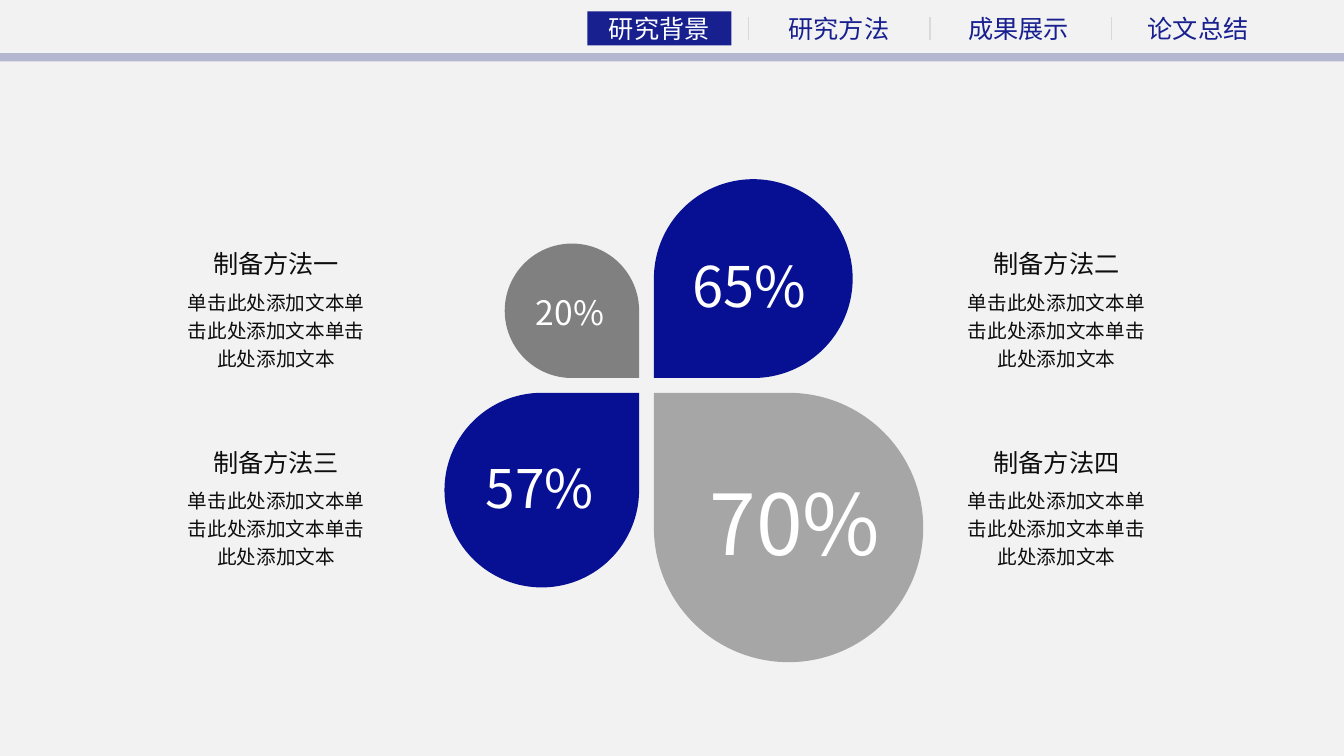
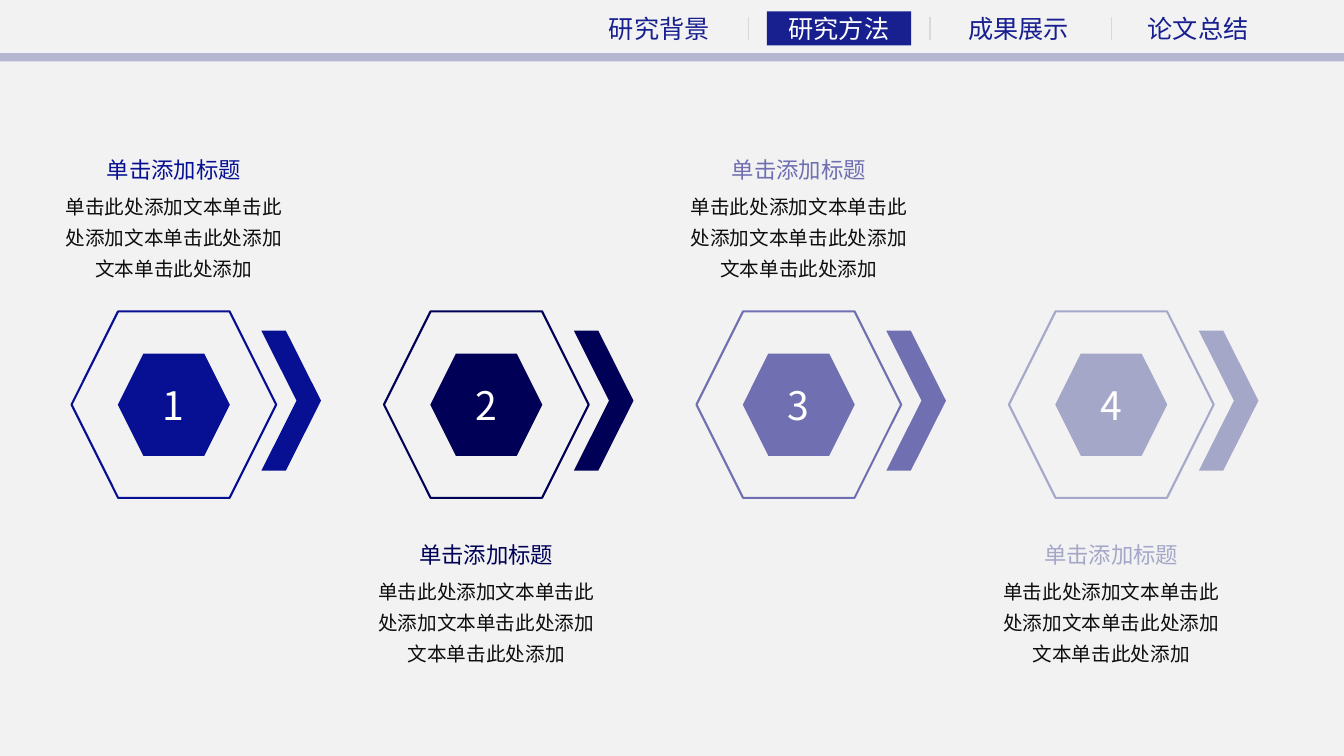
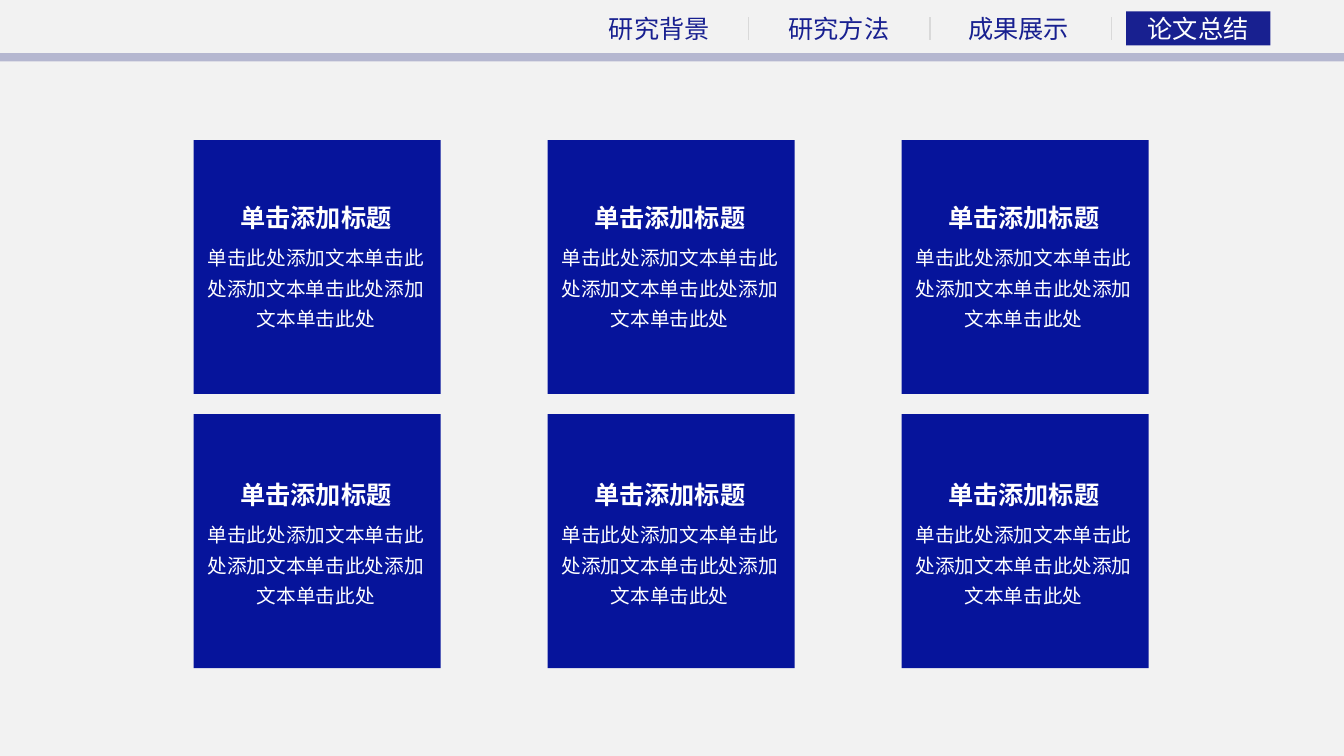
from lxml.etree import SubElement
from pptx import Presentation
from pptx.dml.color import RGBColor
from pptx.enum.shapes import MSO_CONNECTOR, MSO_SHAPE as Shape
from pptx.enum.text import MSO_ANCHOR as Anchor, PP_ALIGN as Align
from pptx.oxml.ns import qn
from pptx.util import Pt

FONT = "Noto Sans CJK SC"
COLORS = {
    "background": "F2F2F2",
    "band": "141B76",
    "nav": "182090",
    "separator": "D9D9D9",
    "white": "FFFFFF",
    "text": "0D0D0D",
    "blue": "071093",
    "navy": "000057",
    "violet": "6F6FB1",
    "lavender": "A4A7C8",
    "dark_gray": "808080",
    "light_gray": "A6A6A6",
    "card": "06149B",
}
SECTIONS = ["研究背景", "研究方法", "成果展示", "论文总结"]
PHRASE = "单击此处添加文本"
HEADING = "单击添加标题"


def color(name):
    return RGBColor.from_string(COLORS[name])


def write(shape, text, size, color_name, align=Align.CENTER, bold=False, spacing=None):
    shape.text_frame.text = text
    paragraph = shape.text_frame.paragraphs[0]
    paragraph.alignment = align
    paragraph.line_spacing = spacing
    run = paragraph.runs[0]
    run.font.size = Pt(size)
    run.font.name = FONT
    run.font.bold = bold
    run.font.color.rgb = color(color_name)
    SubElement(run.font._element, qn("a:ea"), typeface=FONT)


def add_text(slide, left, top, width, height, text, size, color_name, **style):
    box = slide.shapes.add_textbox(Pt(left), Pt(top), Pt(width), Pt(height))
    box.text_frame.word_wrap = True
    write(box, text, size, color_name, **style)


def add_centered_text(slide, center, top, width, height, text, size, color_name, **style):
    add_text(slide, center - width / 2, top, width, height, text, size, color_name, **style)


def add_figure(slide, kind, left, top, width, height, fill=None, outline=None):
    shape = slide.shapes.add_shape(kind, Pt(left), Pt(top), Pt(width), Pt(height))
    shape.shadow.inherit = False
    if fill:
        shape.fill.solid()
        shape.fill.fore_color.rgb = color(fill)
    else:
        shape.fill.background()
    if outline:
        shape.line.color.rgb = color(outline)
        shape.line.width = Pt(1.5)
    else:
        shape.line.fill.background()
    return shape


def add_separator(slide, x):
    line = slide.shapes.add_connector(MSO_CONNECTOR.STRAIGHT, Pt(x), Pt(12.2), Pt(x), Pt(28.8))
    line.line.color.rgb = color("separator")
    line.line.width = Pt(1)
    SubElement(line._element.spPr, qn("a:effectLst"))


def add_section_slide(presentation, active):
    slide = presentation.slides.add_slide(presentation.slide_layouts[6])
    slide.background.fill.solid()
    slide.background.fill.fore_color.rgb = color("background")
    band = add_figure(slide, Shape.RECTANGLE, 0, 38, 960, 5.8, "band")
    band_color = band._element.spPr.find(qn("a:solidFill"))[0]
    SubElement(band_color, qn("a:alpha"), val="27000")
    for index, section in enumerate(SECTIONS):
        center = 471 + 128.3 * index
        if section == active:
            add_figure(slide, Shape.RECTANGLE, center - 51.5, 8.2, 103, 24.2, "nav")
        label_color = "white" if section == active else "nav"
        add_centered_text(slide, center, 5.8, 89.4, 28.8, section, 18, label_color)
    for index in range(len(SECTIONS) - 1):
        add_separator(slide, 534.8 + 129.6 * index)
    return slide


def add_petal(slide, size, is_right, is_lower, fill):
    center_x, center_y, half_gap = 461.8, 275.3, 5.3
    left = center_x + half_gap if is_right else center_x - half_gap - size
    top = center_y + half_gap if is_lower else center_y - half_gap - size
    petal = add_figure(slide, Shape.TEAR, left, top, size, size, fill)
    transform = petal._element.spPr.find(qn("a:xfrm"))
    transform.set("flipH", str(int(is_right)))
    transform.set("flipV", str(int(not is_lower)))


def add_method(slide, center, top, title):
    add_centered_text(slide, center, top, 180, 28.8, title, 18, "text")
    add_centered_text(slide, center, top + 26.4, 146, 67, PHRASE * 3, 14, "text", spacing=1.2)


def add_step(slide, index, color_name):
    left = 51.1 + 223.2 * index
    center = left + 73.1
    add_figure(slide, Shape.HEXAGON, left, 222.4, 146.2, 133.2, outline=color_name)
    chevron = add_figure(slide, Shape.CHEVRON, left + 135.6, 236.2, 42.6, 100, color_name)
    chevron.adjustments[0] = 0.59
    number = add_figure(slide, Shape.HEXAGON, center - 40, 252.6, 80, 73, color_name)
    number.text_frame.vertical_anchor = Anchor.MIDDLE
    write(number, str(index + 1), 28, "white")
    top = 383 if index % 2 else 108
    add_centered_text(slide, center, top, 159, 26.6, HEADING, 16, color_name)
    add_centered_text(slide, center, top + 23, 177, 94, PHRASE * 3 + "单击此处添加", 14, "text", spacing=1.3)


def add_card(slide, left, top, title_top):
    add_figure(slide, Shape.RECTANGLE, left, top, 176.4, 181.4, "card")
    center = left + 87.2
    add_centered_text(slide, center, title_top, 140, 28.8, HEADING, 18, "white", bold=True)
    add_centered_text(slide, center, title_top + 26, 170, 71, PHRASE * 3 + "单击此处", 14, "white", spacing=1.3)


def build_background(presentation):
    slide = add_section_slide(presentation, "研究背景")
    add_petal(slide, 139, False, True, "blue")
    add_petal(slide, 96, False, False, "dark_gray")
    add_petal(slide, 142, True, False, "blue")
    add_petal(slide, 192.4, True, True, "light_gray")
    for text, size, left, top in [
        ("20%", 24, 375.8, 205.2),
        ("65%", 40, 487.4, 176.4),
        ("57%", 38, 339.8, 321.8),
        ("70%", 60, 499.7, 333.4),
    ]:
        add_text(slide, left, top, 174, size * 1.2 + 7.2, text, size, "white", align=Align.LEFT)
    for index, numeral in enumerate("一二三四"):
        row, column = divmod(index, 2)
        add_method(slide, 197.3 + 557.3 * column, 174.2 + 141.8 * row, "制备方法" + numeral)


def build_methods(presentation):
    slide = add_section_slide(presentation, "研究方法")
    for index, color_name in enumerate(["blue", "navy", "violet", "lavender"]):
        add_step(slide, index, color_name)


def build_summary(presentation):
    slide = add_section_slide(presentation, "论文总结")
    for top, title_top in [(100, 141.1), (295.8, 339.1)]:
        for column in range(3):
            add_card(slide, 138.4 + 252.8 * column, top, title_top)


def main():
    presentation = Presentation()
    presentation.slide_width = Pt(960)
    presentation.slide_height = Pt(540)
    build_background(presentation)
    build_methods(presentation)
    build_summary(presentation)
    presentation.save("out.pptx")


if __name__ == "__main__":
    main()
